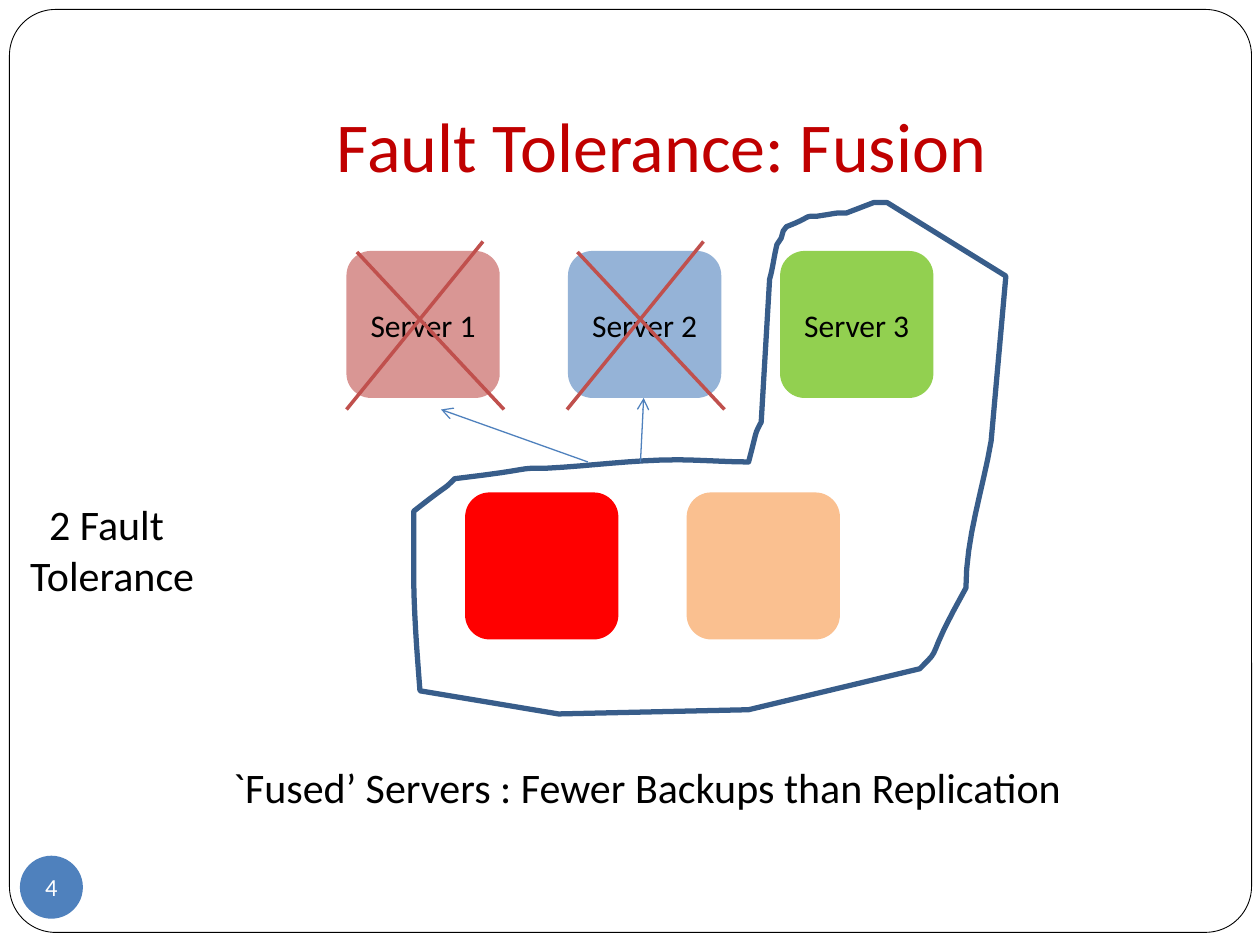
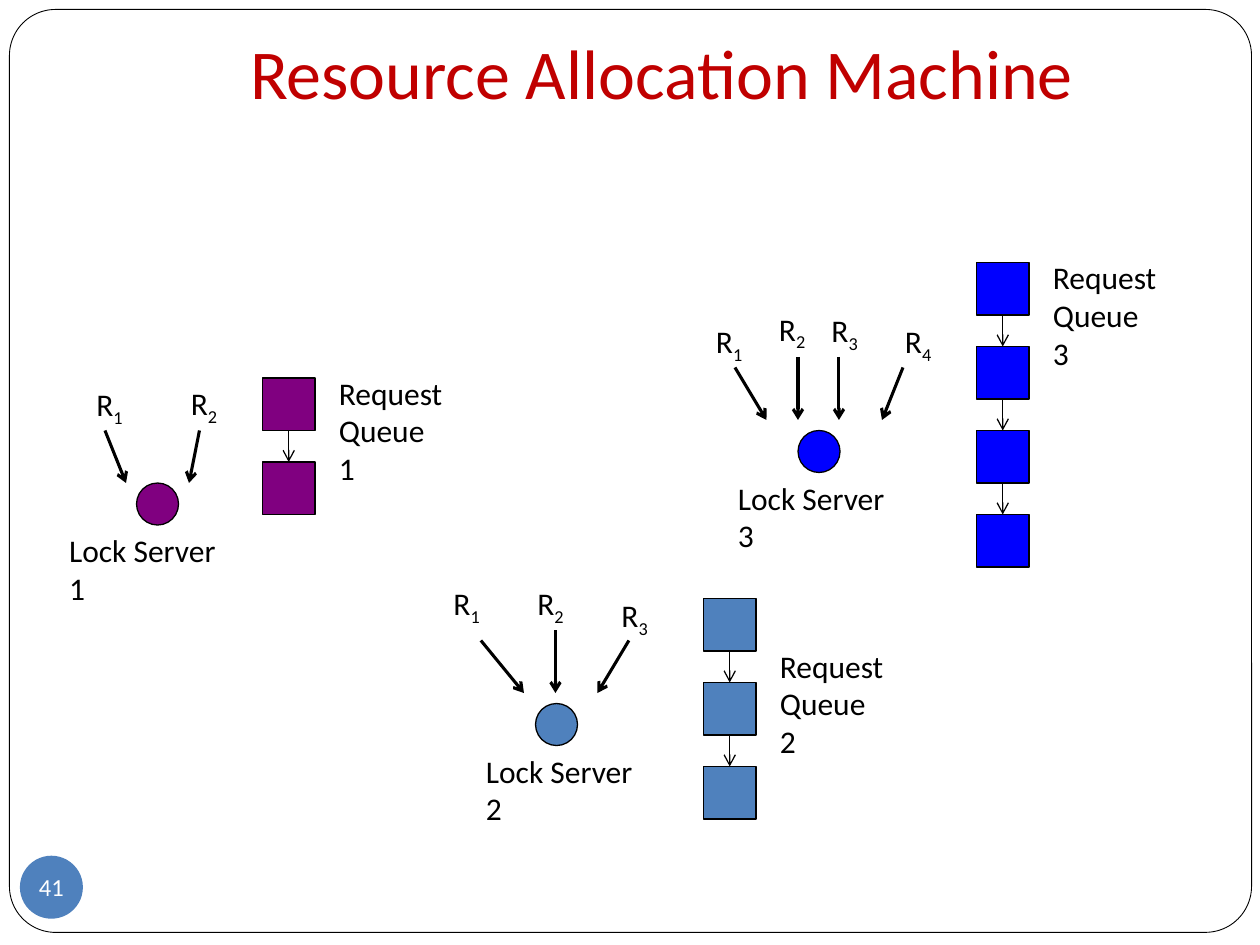
from lxml import etree
from pptx import Presentation
from pptx.dml.color import RGBColor
from pptx.enum.shapes import MSO_CONNECTOR, MSO_SHAPE
from pptx.enum.text import MSO_ANCHOR, MSO_AUTO_SIZE, PP_ALIGN
from pptx.oxml.ns import qn
from pptx.util import Emu, Pt

COLS, ROWS = 120, 90
CELL = 76200
FONT = "Calibri"
ROUND, RECT, OVAL = MSO_SHAPE.ROUNDED_RECTANGLE, MSO_SHAPE.RECTANGLE, MSO_SHAPE.OVAL
LINE = MSO_CONNECTOR.STRAIGHT
CENTER, LEFT = PP_ALIGN.CENTER, PP_ALIGN.LEFT
TOP, MIDDLE, BOTTOM = MSO_ANCHOR.TOP, MSO_ANCHOR.MIDDLE, MSO_ANCHOR.BOTTOM
GROW, FIXED = MSO_AUTO_SIZE.SHAPE_TO_FIT_TEXT, MSO_AUTO_SIZE.NONE
INK = {
    "black": "000000", "white": "FFFFFF", "title": "C00000", "blue": "4F81BD",
    "navy": "385D8A", "cross": "C0504D", "rose": "D99694", "sky": "95B3D7",
    "green": "92D050", "red": "FF0000", "peach": "FAC090", "plum": "800080",
    "pure": "0000FF",
}
INSETS = {"margin_left": 1.2, "margin_top": 0.6, "margin_right": 1.2, "margin_bottom": 0.6}

SERVERS = [("Server 1", 33, "rose"), ("Server 2", 54.1, "sky"), ("Server 3", 74.3, "green")]
FUSED = [(44.3, "red"), (65.4, "peach")]
LASSO = [
    (84.5, 19.3), (95.8, 26.3), (94.4, 42),
    (93.6, 46.7, 92, 51.2, 92, 56), (87.8, 63.5, 90, 61.3, 87.6, 63.7),
    (71.3, 67.6), (53.2, 68), (40, 65.8),
    (39.7, 61.9, 39.4, 58.1, 39.4, 54.2), (39.4, 48.7),
    (43.2, 45.7, 42, 46.9, 43.3, 45.6), (51.7, 44.6, 48.8, 44.6, 52, 44.6),
    (56.2, 44.4, 60.2, 43.8, 64.4, 43.8), (66.7, 43.8, 69, 44, 71.3, 44),
    (72.2, 40.6, 71.8, 41.6, 72.5, 40.2), (73.3, 26.6),
    (73.6, 25.6, 73.7, 24.5, 74, 23.3), (74.4, 22.7), (74.6, 22), (74.9, 21.6),
    (77.5, 20.6, 76.4, 20.6, 77.8, 20.6), (80.4, 20.2, 79.4, 20.3, 80.6, 20.3),
    (83.2, 19.3),
]
LOCKS = [
    {"ink": "plum", "dot": (13, 46), "name": 5.4, "queue": (25, 36), "size": 2, "note": 35,
     "calls": [((8, 36.1), (10, 41, 12, 46)), ((17, 36), (19, 41, 18, 46))]},
    {"ink": "blue", "dot": (51, 67), "name": 45.1, "queue": (67, 57), "size": 3, "note": 61,
     "calls": [((42, 55), (45.8, 61, 49.9, 66)), ((50, 55), (52.9, 60, 52.9, 66)),
               ((58, 56.2), (59.9, 61, 56.9, 66))]},
    {"ink": "pure", "dot": (76, 41), "name": 69.1, "queue": (93, 25), "size": 4, "note": 24,
     "calls": [((67, 30.1), (70, 35, 73, 40)), ((73, 28.9), (76, 34, 76, 40)),
               ((78, 29), (79.9, 34, 79.9, 40)), ((85, 30.1), (86, 35, 84, 40))]},
]


def cells(*sizes):
    """Turn grid cells into lengths."""
    return [Emu(round(size * CELL)) for size in sizes]


def style(item, values):
    """Set each attribute of an item."""
    for key, value in values.items():
        setattr(item, key, value)


def trace(steps, parts=8):
    """List the corners of an outline, with curves cut into short lines."""
    dots = []
    for step in steps:
        if len(step) == 2:
            dots.append(step)
            continue
        knots = [dots[-1], step[:2], step[2:4], step[4:]]
        for part in range(1, parts + 1):
            t = part / parts
            loads = ((1 - t) ** 3, 3 * t * (1 - t) ** 2, 3 * t * t * (1 - t), t ** 3)
            dots.append(tuple(sum(w * k[axis] for w, k in zip(loads, knots)) for axis in (0, 1)))
    return dots


class Deck:
    """Hold the shared style and the current slide."""

    def __init__(self):
        """Start an empty show."""
        self.show = Presentation()
        style(self.show, dict(zip(("slide_width", "slide_height"), cells(COLS, ROWS))))

    def page(self, title, top, number):
        """Start a slide with its frame, title and number badge."""
        self.shapes = self.show.slides.add_slide(self.show.slide_layouts[5]).shapes
        head = self.shapes.title
        style(head, dict(zip(("left", "top", "width", "height"), cells(12, top, 102, 15))))
        self.label(head, [title], 40, "title", CENTER, BOTTOM)
        style(head.text_frame, {"margin_bottom": cells(1.2)[0], "auto_size": FIXED})
        frame = self.shape(ROUND, (0.9, 0.9, 118.3, 87.9), None, ("black", 0.5))
        frame.adjustments[0] = 0.05
        badge = self.shape(OVAL, (1.9, 81.5, 6, 6), "blue")
        self.label(badge, [number], 14, "white", CENTER, MIDDLE, wrap=False)
        style(badge.text_frame, dict.fromkeys(INSETS, 0))

    def paint(self, item, fill, line):
        """Set the fill and line of a shape."""
        item.shadow.inherit = False
        if fill:
            item.fill.solid()
            item.fill.fore_color.rgb = RGBColor.from_string(INK[fill])
        else:
            item.fill.background()
        if line:
            self.stroke(item, *line)
        else:
            item.line.fill.background()

    def stroke(self, item, ink, width):
        """Set the colour and width of a line."""
        item.line.color.rgb = RGBColor.from_string(INK[ink])
        item.line.width = Pt(width)

    def shape(self, kind, box, fill, line=None):
        """Add a preset shape."""
        item = self.shapes.add_shape(kind, *cells(*box))
        self.paint(item, fill, line)
        return item

    def outline(self, steps, line):
        """Add a closed shape without fill."""
        dots = [cells(*dot) for dot in trace(steps)]
        pen = self.shapes.build_freeform(*dots[0])
        pen.add_line_segments(dots[1:], close=True)
        self.paint(pen.convert_to_shape(), None, line)

    def link(self, ends, ink, width, arrow=True):
        """Add a line, with an arrowhead if asked."""
        item = self.shapes.add_connector(LINE, *cells(*ends))
        self.stroke(item, ink, width)
        props = item._element.spPr
        if arrow:
            etree.SubElement(props.find(qn("a:ln")), qn("a:tailEnd"), type="arrow")
        etree.SubElement(props, qn("a:effectLst"))

    def run(self, para, words, size, ink="black"):
        """Add a run of text to a paragraph."""
        run = para.add_run()
        run.text = words
        style(run.font, {"name": FONT, "size": Pt(size)})
        run.font.color.rgb = RGBColor.from_string(INK[ink])
        return run

    def label(self, item, lines, size, ink="black", align=LEFT, anchor=TOP, wrap=True):
        """Fill a shape with lines of text."""
        frame = item.text_frame
        style(frame, dict(zip(INSETS, cells(*INSETS.values()))))
        style(frame, {"word_wrap": wrap, "vertical_anchor": anchor})
        for index, line in enumerate(lines):
            para = frame.add_paragraph() if index else frame.paragraphs[0]
            para.alignment = align
            self.run(para, line, size, ink)

    def text(self, box, lines, size=18, wrap=False):
        """Add a text box."""
        item = self.shapes.add_textbox(*cells(*box))
        self.label(item, lines, size, wrap=wrap)
        item.text_frame.auto_size = GROW
        return item.text_frame

    def request(self, spot, number):
        """Add an R with a lowered number."""
        para = self.text((*spot, 4.9, 5.3), ["R"]).paragraphs[0]
        low = self.run(para, str(number), 18)
        low._r.get_or_add_rPr().set("baseline", "-25000")

    def lock(self, number, ink, dot, name, queue, size, note, calls):
        """Add a lock server with its requests and queue."""
        edge = ("black", 0.75)
        self.shape(OVAL, (*dot, 4, 4), ink, edge)
        self.text((name, dot[1] + 4, 18.5, 4.8), [f"Lock Server {number}"])
        left, top = queue
        for slot in range(size):
            row = top + 8 * slot
            self.shape(RECT, (left, row, 5, 5), ink, edge)
            if slot:
                self.link((left + 2.5, row - 3, left + 2.5, row), *edge)
        self.text((left + 6.1, note, 12.7, 8.4), ["Request", f"Queue {number}"])
        for order, (spot, ends) in enumerate(calls, 1):
            self.request(spot, order)
            self.link(ends, "black", 1.75)


def fusion(deck):
    """Build the slide on fused servers."""
    deck.page("Fault Tolerance: Fusion", 4, "4")
    for left, ink in FUSED:
        deck.shape(ROUND, (left, 46.9, 14.6, 14), ink)
    level = deck.text((1.7, 46.9, 30.5, 10.8), ["2 Fault", "Tolerance"], 24)
    level.paragraphs[0]._p.get_or_add_pPr().set("marL", str(cells(1.8)[0]))
    deck.text((21, 71.9, 84, 6), ["`Fused’ Servers : Fewer Backups than Replication"], 24, True)
    for name, left, ink in SERVERS:
        box = deck.shape(ROUND, (left, 23.9, 14.6, 14), ink)
        deck.label(box, [name], 18, align=CENTER, anchor=MIDDLE)
    deck.outline(LASSO, ("navy", 3))
    for left in (33, 54):
        for ends in ((left + 1, 24, left + 15, 39), (left + 13, 23, left, 39)):
            deck.link(ends, "cross", 2, False)
    for ends in ((56, 44, 42, 39), (61, 44, 61.3, 37.9)):
        deck.link(ends, "blue", 0.75)


def machine(deck):
    """Build the slide on lock servers."""
    deck.page("Resource Allocation Machine", -3, "41")
    for number, lock in enumerate(LOCKS, 1):
        deck.lock(number, **lock)


def main():
    """Build and save the slides."""
    deck = Deck()
    fusion(deck)
    machine(deck)
    deck.show.save("out.pptx")


if __name__ == "__main__":
    main()
